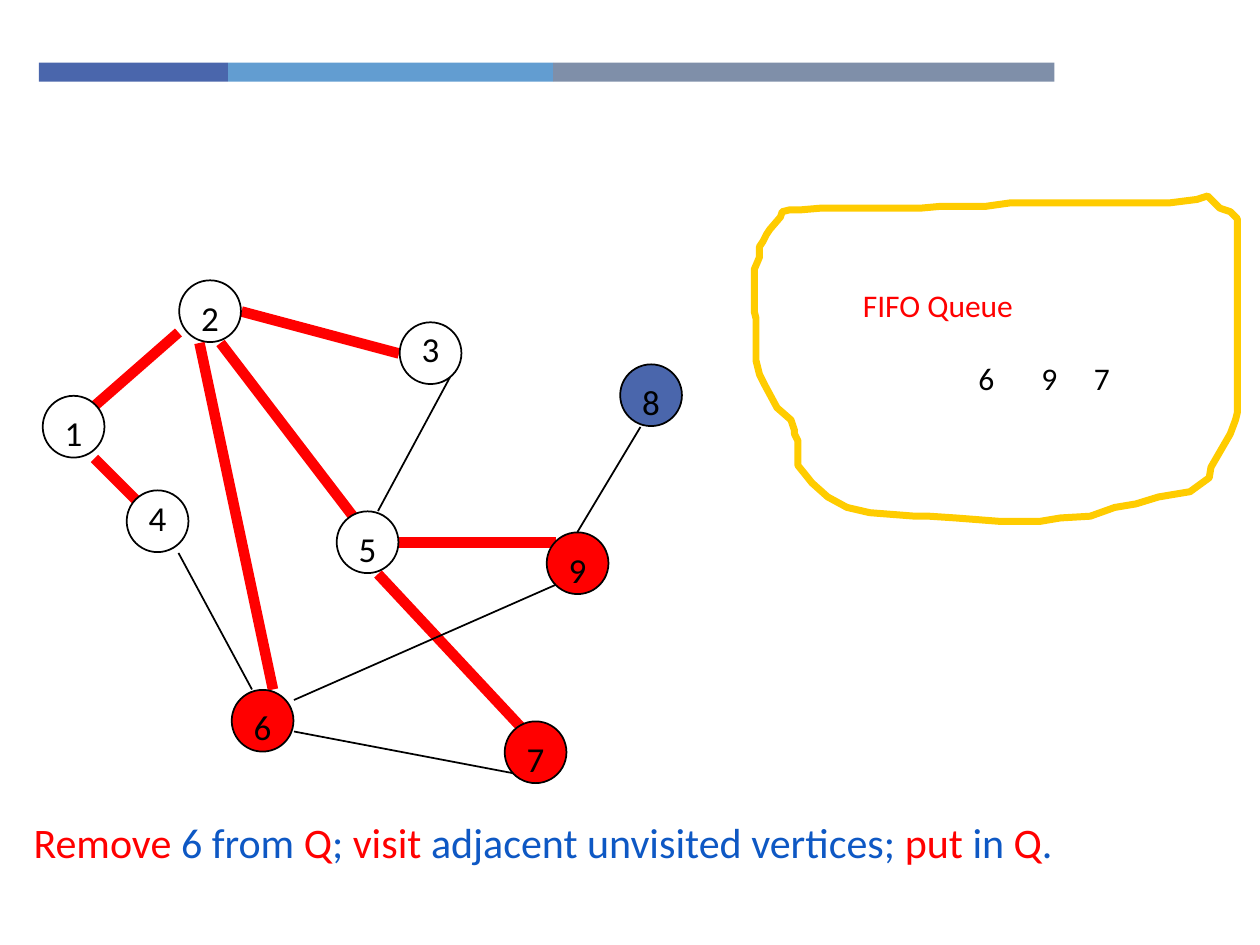
from lxml import etree
from pptx import Presentation
from pptx import util as u
from pptx.dml.color import RGBColor
from pptx.enum import shapes, text
from pptx.oxml import ns

FONT = "Calibri"
BLACK = RGBColor(0, 0, 0)
WHITE = RGBColor(255, 255, 255)
RED = RGBColor(255, 0, 0)
INDIGO = RGBColor(0x4A, 0x66, 0xAC)
SKY = RGBColor(0x62, 0x9D, 0xD1)
SLATE = RGBColor(0x7F, 0x8F, 0xA9)
BLUE = RGBColor(0x0E, 0x58, 0xC4)
GOLD = RGBColor(0xFF, 0xCC, 0)

NODE_SIZE = 35.3
LABEL_INSET = 5.5

BARS = [(22.3, 108, INDIGO), (130.3, 185.8, SKY), (316.1, 286.5, SLATE)]

NODES = [
    ("1", 24.4, 226.2, WHITE, LABEL_INSET),
    ("2", 102.4, 160.2, WHITE, LABEL_INSET),
    ("3", 228.4, 184.2, WHITE, -0.5),
    ("4", 72.4, 280.2, WHITE, 0),
    ("5", 192.4, 292.2, WHITE, LABEL_INSET),
    ("6", 132.4, 394.2, RED, LABEL_INSET),
    ("7", 288.4, 412.2, RED, LABEL_INSET),
    ("8", 354.4, 208.2, INDIGO, LABEL_INSET),
    ("9", 312.4, 304.2, RED, LABEL_INSET),
]

TREE_EDGES = [
    (102, 190, 54, 232), (126, 196, 204, 298), (54, 262, 78, 286),
    (216, 328, 300, 418), (228, 310, 318, 310), (138, 178, 228, 202),
    (114, 196, 156, 394),
]
OTHER_EDGES = [
    (102, 316, 144, 394), (168, 418, 294, 442), (258, 214, 216, 292),
    (366, 244, 330, 304), (168, 400, 318, 334),
]

QUEUE_OUTLINE = [
    (690, 112), (684, 114.5), (668, 115.5), (640, 115.5), (631, 116.5),
    (577, 116.5), (563, 118), (537, 118), (526, 119), (469, 119),
    (457, 120.5), (451, 120.5), (447, 121), (446, 124), (440, 131),
    (438.5, 134.5), (435.5, 137.5), (434, 141), (434, 147), (431, 153.5),
    (431, 178), (432.5, 182), (432.5, 206.5), (434, 214), (437, 219.5),
    (444, 233), (451.5, 240), (454, 245.5), (454, 248.5), (456, 252),
    (456, 266.5), (464.5, 276), (473, 283.5), (484.5, 290), (497, 293),
    (523, 295), (531, 295), (546, 296.5), (572, 298), (594, 298),
    (605.5, 296), (623, 295), (637, 289.5), (649, 287.5), (662.5, 283.5),
    (680, 281), (691, 273), (692.5, 267), (703, 248.5), (705.5, 240.5),
    (707, 235.5), (707, 125), (703, 121), (697, 119),
]

CAPTION = [
    ("Remove", RED), (" 6 from ", BLUE), ("Q", RED), ("; ", BLUE),
    ("visit", RED), (" adjacent unvisited vertices; ", BLUE),
    ("put", RED), (" in ", BLUE), ("Q", RED), (".", BLUE),
]


def format_run(run, size, color):
    """Give a run its font, size and colour."""
    run.font.name = FONT
    run.font.size = u.Pt(size)
    run.font.color.rgb = color


def add_bar(slide, left, width, color):
    """Add one segment of the header bar."""
    shape = slide.shapes.add_shape(
        shapes.MSO_SHAPE.RECTANGLE, u.Pt(left), u.Pt(35.8), u.Pt(width), u.Pt(10.8))
    shape.shadow.inherit = False
    shape.fill.solid()
    shape.fill.fore_color.rgb = color
    shape.line.fill.background()


def add_label(container, words, left, top, width, height, size, color=BLACK):
    """Add a one-line text box to a slide or group."""
    shape = container.shapes.add_textbox(
        u.Pt(left), u.Pt(top), u.Pt(width), u.Pt(height))
    shape.text_frame.word_wrap = True
    shape.text_frame.text = words
    format_run(shape.text_frame.paragraphs[0].runs[0], size, color)


def add_edge(slide, start_x, start_y, end_x, end_y, color, width):
    """Add a straight edge between two vertices."""
    connector = slide.shapes.add_connector(
        shapes.MSO_CONNECTOR.STRAIGHT,
        u.Pt(start_x), u.Pt(start_y), u.Pt(end_x), u.Pt(end_y))
    connector.line.color.rgb = color
    connector.line.width = u.Pt(width)
    properties = connector._element.spPr
    etree.SubElement(properties, ns.qn("a:effectLst"))


def add_node(slide, number, left, top, color, label_offset):
    """Add a vertex as a group of circle and number."""
    group = slide.shapes.add_group_shape()
    circle = group.shapes.add_shape(
        shapes.MSO_SHAPE.OVAL, u.Pt(left), u.Pt(top), u.Pt(NODE_SIZE), u.Pt(NODE_SIZE))
    circle.shadow.inherit = False
    circle.fill.solid()
    circle.fill.fore_color.rgb = color
    circle.line.color.rgb = BLACK
    circle.line.width = u.Pt(1)
    add_label(group, number, left + LABEL_INSET, top + label_offset, 18, 31, 20)


def add_queue_outline(slide):
    """Draw the hand-drawn border around the queue."""
    builder = slide.shapes.build_freeform(*QUEUE_OUTLINE[0], scale=u.Pt(1))
    builder.add_line_segments(QUEUE_OUTLINE[1:], close=True)
    shape = builder.convert_to_shape()
    shape.shadow.inherit = False
    shape.fill.background()
    shape.line.color.rgb = GOLD
    shape.line.width = u.Pt(4)


def fill_caption(shape):
    """Move the body placeholder and write the coloured caption."""
    shape.left, shape.top = u.Pt(12), u.Pt(463)
    shape.width, shape.height = u.Pt(708), u.Pt(56)
    frame = shape.text_frame
    frame.auto_size = text.MSO_AUTO_SIZE.NONE
    frame.vertical_anchor = text.MSO_ANCHOR.TOP
    paragraph = frame.paragraphs[0]
    paragraph.space_before = u.Pt(0)
    properties = paragraph._p.get_or_add_pPr()
    properties.set("marL", str(u.Pt(36)))
    properties.set("indent", str(u.Pt(-36)))
    etree.SubElement(properties, ns.qn("a:buNone"))
    for words, color in CAPTION:
        run = paragraph.add_run()
        run.text = words
        format_run(run, 24, color)


def main():
    """Build the breadth-first search slide."""
    presentation = Presentation()
    presentation.slide_width, presentation.slide_height = u.Pt(720), u.Pt(540)
    slide = presentation.slides.add_slide(presentation.slide_layouts[1])
    title = slide.shapes.title._element
    title.getparent().remove(title)
    for bar in BARS:
        add_bar(slide, *bar)
    for edge in TREE_EDGES:
        add_edge(slide, *edge, RED, 6)
    for edge in OTHER_EDGES:
        add_edge(slide, *edge, BLACK, 1)
    for node in NODES:
        add_node(slide, *node)
    add_queue_outline(slide)
    add_label(slide, "FIFO Queue", 486, 160, 222, 62, 18, RED)
    for number, left in (("6", 552), ("9", 588), ("7", 618)):
        add_label(slide, number, left, 201.6, 30, 45, 18)
    fill_caption(slide.placeholders[1])
    presentation.save("out.pptx")


if __name__ == "__main__":
    main()
